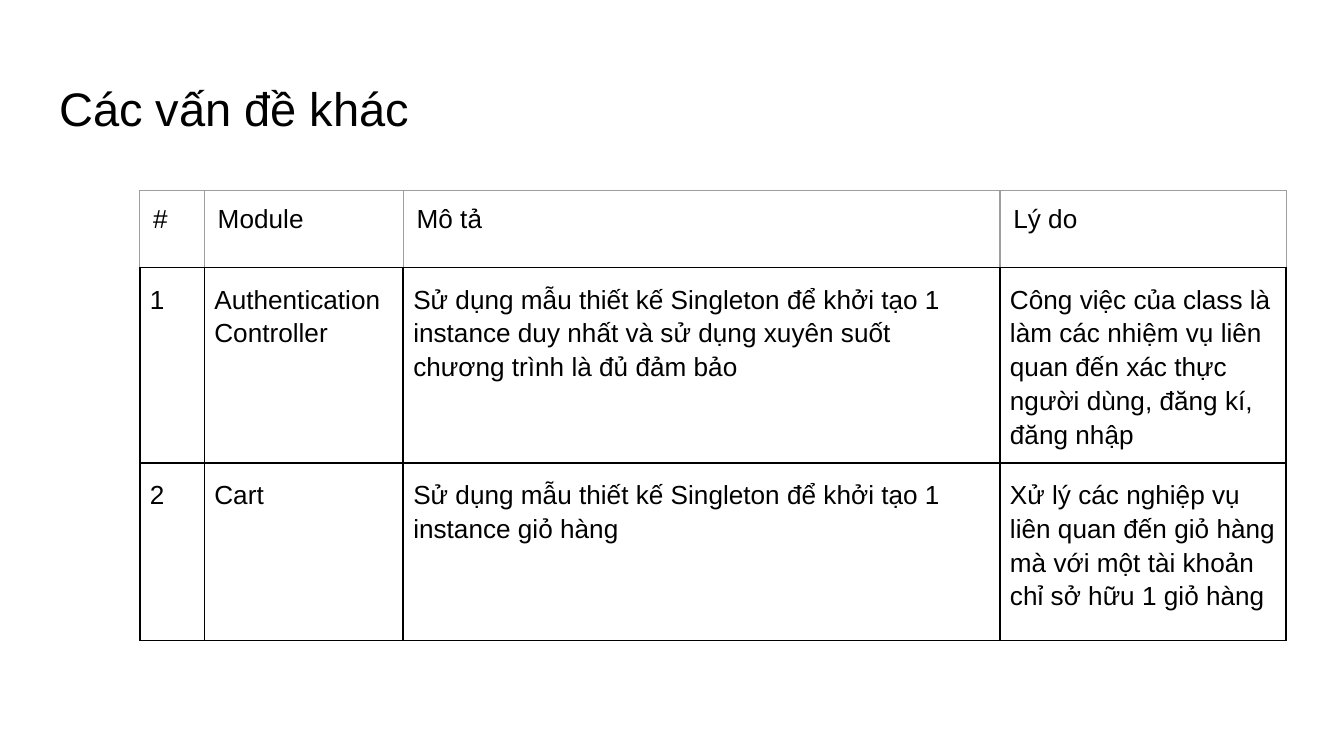
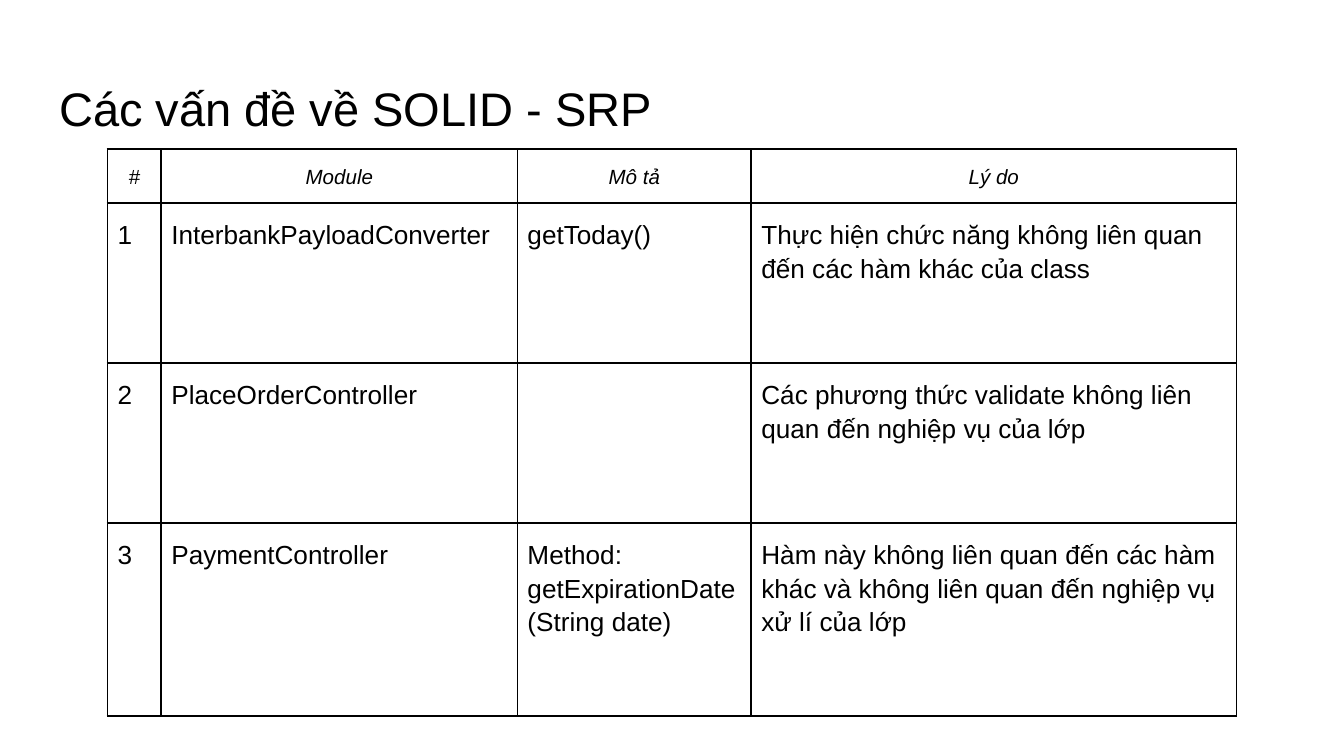
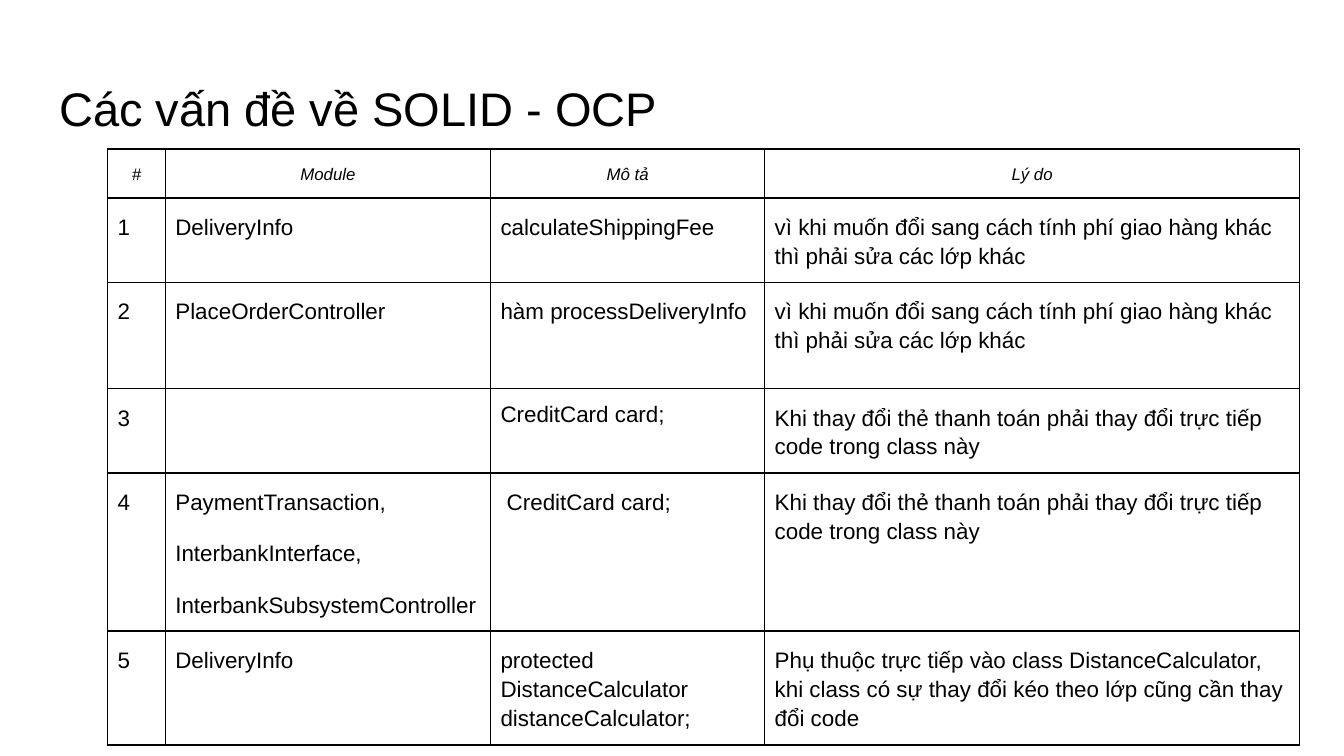
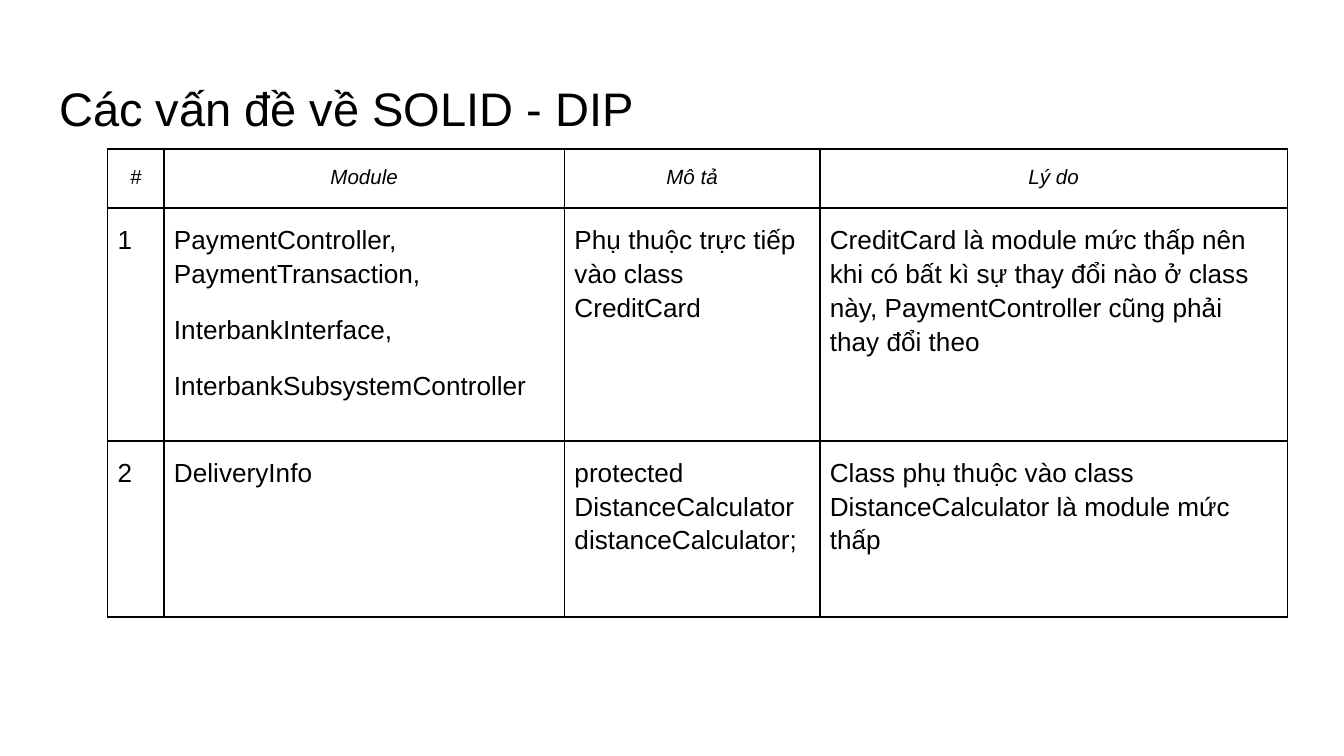
"""Builds four slides that list design problems in tables."""
from dataclasses import dataclass
from itertools import product

from lxml.etree import SubElement
from pptx import Presentation
from pptx.dml.color import RGBColor
from pptx.enum.text import MSO_ANCHOR, MSO_AUTO_SIZE, PP_ALIGN
from pptx.oxml.ns import qn
from pptx.util import Inches, Pt


@dataclass(frozen=True)
class Theme:
    font: str = "Arial"
    ink: str = "000000"
    grey: str = "9E9E9E"
    title_size: float = 25.2
    line: float = 1
    thin_line: float = 0.75
    line_spacing: float = 1.15
    gap: int = 12
    wide_inset: float = 7.2
    inset: float = 5.4


THEME = Theme()
SLIDE_SIZE = (10, 10 * 9 / 16)
TITLE_BOX = (0.34, 0.49, 9.32, 0.63)
HEADER = ("#", "Module", "Mô tả", "Lý do")
SHIPPING_REASON = "vì khi muốn đổi sang cách tính phí giao hàng khác thì phải sửa các lớp khác"
CARD_REASON = "Khi thay đổi thẻ thanh toán phải thay đổi trực tiếp code trong class này"
DISTANCE_FIELD = "protected DistanceCalculator distanceCalculator;"
INTERBANK_MODULES = "InterbankInterface,\nInterbankSubsystemController"

TABLES = [
    dict(
        title="Các vấn đề khác", corner=(1.04, 1.42), sizes=(14, 14), grey_header=True,
        columns=(0.48, 1.48, 4.44, 2.13), heights=(0.57, 1.13, 1.32),
        rows=[
            ("AuthenticationController",
             "Sử dụng mẫu thiết kế Singleton để khởi tạo 1 instance duy nhất và sử dụng "
             "xuyên suốt chương trình là đủ đảm bảo",
             "Công việc của class là làm các nhiệm vụ liên quan đến xác thực người dùng, "
             "đăng kí, đăng nhập"),
            ("Cart", "Sử dụng mẫu thiết kế Singleton để khởi tạo 1 instance giỏ hàng",
             "Xử lý các nghiệp vụ liên quan đến giỏ hàng mà với một tài khoản chỉ sở hữu "
             "1 giỏ hàng"),
        ]),
    dict(
        title="Các vấn đề về SOLID - SRP", corner=(0.8, 1.11), sizes=(11, 14),
        columns=(0.4, 2.65, 1.74, 3.61), heights=(0.4, 1.19, 1.19, 1.44),
        rows=[
            ("InterbankPayloadConverter", "getToday()",
             "Thực hiện chức năng không liên quan đến các hàm khác của class"),
            ("PlaceOrderController", "",
             "Các phương thức validate không liên quan đến nghiệp vụ của lớp"),
            ("PaymentController", "Method: getExpirationDate(String date)",
             "Hàm này không liên quan đến các hàm khác và không liên quan đến nghiệp vụ "
             "xử lí của lớp"),
        ]),
    dict(
        title="Các vấn đề về SOLID - OCP", corner=(0.8, 1.11), sizes=(9, 12),
        columns=(0.43, 2.42, 2.04, 3.98), heights=(0.31, 0.57, 0.79, 0.57, 1.06, 0.64),
        unspaced=[(3, 2)],
        rows=[
            ("DeliveryInfo", "calculateShippingFee", SHIPPING_REASON),
            ("PlaceOrderController", "hàm processDeliveryInfo", SHIPPING_REASON),
            ("", "CreditCard card;", CARD_REASON),
            ("PaymentTransaction,\n" + INTERBANK_MODULES, " CreditCard card;", CARD_REASON),
            ("DeliveryInfo", DISTANCE_FIELD,
             "Phụ thuộc trực tiếp vào class DistanceCalculator, khi class có sự thay đổi "
             "kéo theo lớp cũng cần thay đổi code"),
        ]),
    dict(
        title="Các vấn đề về SOLID - DIP", corner=(0.8, 1.11), sizes=(11, 14),
        columns=(0.42, 2.98, 1.9, 3.48), heights=(0.44, 1.73, 1.31),
        rows=[
            ("PaymentController, PaymentTransaction,\n" + INTERBANK_MODULES,
             "Phụ thuộc trực tiếp vào class CreditCard",
             "CreditCard là module mức thấp nên khi có bất kì sự thay đổi nào ở class này, "
             "PaymentController cũng phải thay đổi theo"),
            ("DeliveryInfo", DISTANCE_FIELD,
             "Class phụ thuộc vào class DistanceCalculator là module mức thấp"),
        ]),
]


def apply(target, **values):
    for name, value in values.items():
        setattr(target, name, value)


def margins(side):
    return dict(margin_left=Pt(side), margin_right=Pt(side),
                margin_top=Pt(THEME.wide_inset), margin_bottom=Pt(THEME.wide_inset))


def style_font(font, size, italic=False):
    apply(font, name=THEME.font, size=Pt(size), italic=italic)
    font.color.rgb = RGBColor.from_string(THEME.ink)


def add_title(slide, text):
    title = slide.shapes.title
    apply(title, **dict(zip(("left", "top", "width", "height"), map(Inches, TITLE_BOX))))
    frame = title.text_frame
    apply(frame, text=text, word_wrap=True, auto_size=MSO_AUTO_SIZE.NONE,
          vertical_anchor=MSO_ANCHOR.TOP, **margins(THEME.wide_inset))
    paragraph = frame.paragraphs[0]
    paragraph.alignment = PP_ALIGN.LEFT
    style_font(paragraph.runs[0].font, THEME.title_size)


def add_borders(cell, grey):
    properties = cell._tc.get_or_add_tcPr()
    for side in "LRTB":
        light = grey and side != "B"
        width = THEME.thin_line if light else THEME.line
        line = SubElement(properties, qn(f"a:ln{side}"), w=str(Pt(width)))
        fill = SubElement(line, qn("a:solidFill"))
        SubElement(fill, qn("a:srgbClr"), val=THEME.grey if light else THEME.ink)


def fill_cell(cell, text, size, centred, spaced, grey):
    cell.text = text
    apply(cell, vertical_anchor=MSO_ANCHOR.TOP,
          **margins(THEME.wide_inset if grey else THEME.inset))
    add_borders(cell, grey)
    cell.fill.background()
    paragraphs = cell.text_frame.paragraphs
    for number, paragraph in enumerate(paragraphs, 1):
        paragraph.alignment = PP_ALIGN.CENTER if centred else PP_ALIGN.LEFT
        if spaced:
            last = number == len(paragraphs)
            apply(paragraph, line_spacing=THEME.line_spacing, space_before=Pt(THEME.gap),
                  space_after=Pt(THEME.gap if last else 0))
        for run in paragraph.runs:
            style_font(run.font, size, italic=centred)


def add_problem_table(slide, content):
    columns, heights = content["columns"], content["heights"]
    box = (*content["corner"], sum(columns), sum(heights))
    table = slide.shapes.add_table(len(heights), len(columns), *map(Inches, box)).table
    apply(table, first_row=False, horz_banding=False)
    for column, width in zip(table.columns, columns):
        column.width = Inches(width)
    for row, height in zip(table.rows, heights):
        row.height = Inches(height)
    texts = [HEADER] + [(str(number), *row) for number, row in enumerate(content["rows"], 1)]
    header_size, body_size = content["sizes"]
    for row, column in product(range(len(heights)), range(len(columns))):
        is_header = row == 0
        grey = is_header and content.get("grey_header", False)
        fill_cell(table.cell(row, column), texts[row][column],
                  size=header_size if is_header else body_size,
                  centred=is_header and not grey,
                  spaced=not grey and (row, column) not in content.get("unspaced", []),
                  grey=grey)


def main():
    presentation = Presentation()
    width, height = map(Inches, SLIDE_SIZE)
    apply(presentation, slide_width=width, slide_height=height)
    title_only = presentation.slide_layouts.get_by_name("Title Only")
    for content in TABLES:
        slide = presentation.slides.add_slide(title_only)
        add_title(slide, content["title"])
        add_problem_table(slide, content)
    presentation.save("out.pptx")


if __name__ == "__main__":
    main()
